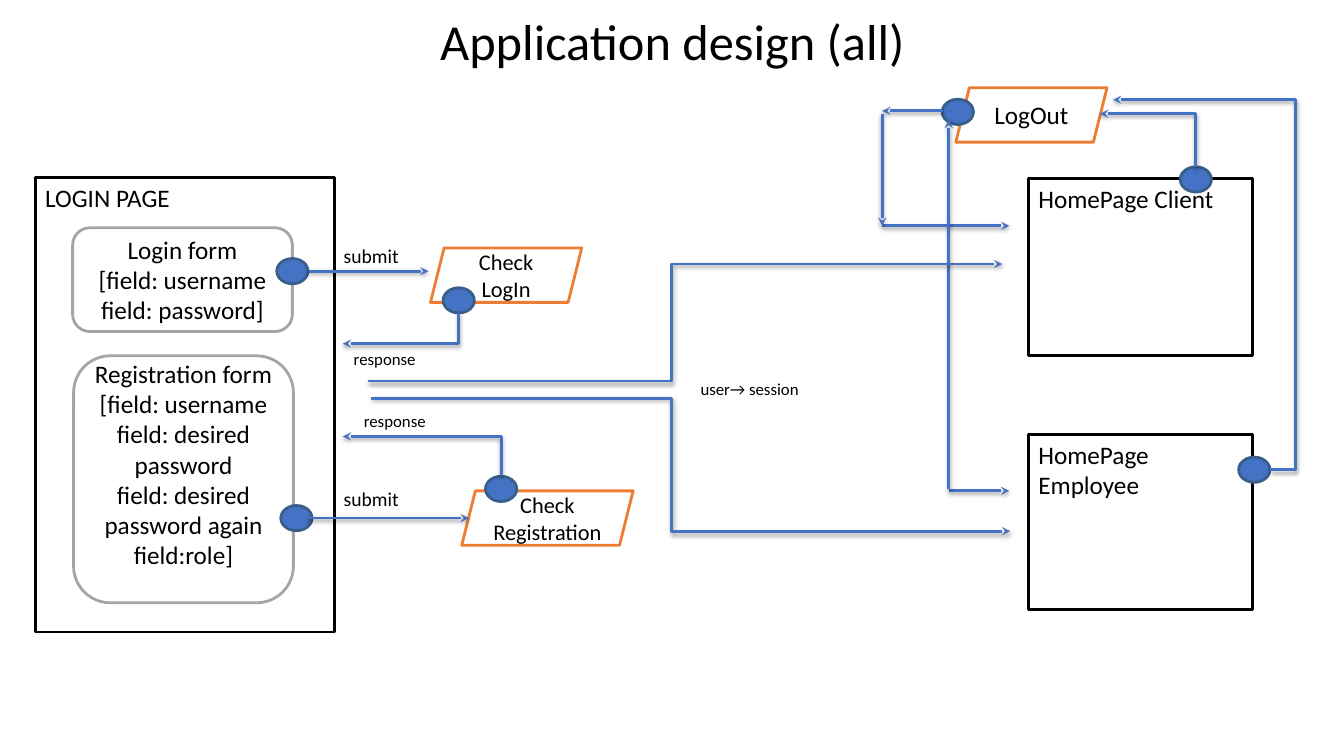
from lxml.etree import SubElement
from pptx import Presentation
from pptx.dml.color import RGBColor
from pptx.enum.shapes import MSO_CONNECTOR as CONNECTOR, MSO_SHAPE as SHAPE
from pptx.enum.text import MSO_ANCHOR as ANCHOR, MSO_AUTO_SIZE as AUTO_SIZE, PP_ALIGN as ALIGN
from pptx.oxml.ns import qn
from pptx.util import Inches, Pt

COLORS = {
    "text": "000000",
    "paper": "FFFFFF",
    "page": "000000",
    "form": "A5A5A5",
    "action": "ED7D31",
    "flow": "4472C4",
    "dot_edge": "395E89",
}
FONT = "Calibri"
LINE_WIDTH = 2
DOT_WIDTH, DOT_HEIGHT = 0.31, 0.25

TITLE = "Application design (all)"

# Each box: (left, top, width, height), paragraphs; \v is a line break.
PAGES = [
    ((0.35, 1.76, 2.97, 4.51), ["LOGIN PAGE"]),
    ((10.2, 1.77, 2.22, 1.76), ["HomePage Client"]),
    ((10.2, 4.31, 2.22, 1.74), ["HomePage Employee"]),
]
# The last value is the bottom inset.
FORMS = [
    ((0.72, 2.26, 2.18, 1.03), ["Login form\v[field: username", "field: password]"], 0.05),
    ((0.73, 3.53, 2.18, 2.45),
     ["Registration form\v[field: username", "field: desired password",
      "field: desired password again", "field:role]"], 0.35),
]
# The last value is the text size.
ACTIONS = [
    ((4.27, 2.46, 1.5, 0.54), ["Check\vLogIn"], 16),
    ((4.58, 4.87, 1.7, 0.54), ["Check\vRegistration"], 16),
    ((9.48, 0.87, 1.5, 0.54), ["LogOut"], 18),
]
LABELS = [
    ((3.31, 2.37, 0.79, 0.26), "submit", 14),
    ((3.31, 4.78, 0.91, 0.3), "submit", 14),
    ((3.41, 3.41, 1.5, 0.3), "response", 12),
    ((3.51, 4.03, 1.5, 0.3), "response", 12),
    ((6.85, 3.71, 1.23, 0.3), "user→ session", 12),
]
DOT_CENTERS = [(2.9, 2.69), (2.94, 5.14), (4.97, 4.85), (4.55, 2.98),
               (11.86, 1.78), (12.44, 4.66), (9.5, 1.11)]

STRAIGHT_FLOWS = [
    ((3.06, 2.69), (4.25, 2.69)),
    ((3.06, 5.14), (4.65, 5.14)),
    ((8.75, 2.24), (10.01, 2.24)),
    ((9.41, 4.87), (10.01, 4.87)),
    ((9.35, 1.1), (8.75, 1.1)),
    ((8.75, 1.13), (8.75, 2.24)),
    ((9.41, 4.85), (9.41, 1.19)),
]
# Vertical first, then to the left.
CORNER_FLOWS = [
    ((4.55, 3.11), (3.4, 3.41)),
    ((4.97, 4.72), (3.4, 4.33)),
    ((11.86, 1.66), (10.91, 1.13)),
]
# The last value is the x of the vertical part.
STEP_FLOWS = [
    ((3.68, 3.95), (10.02, 5.27), 6.66),
    ((3.65, 3.78), (9.94, 2.62), 6.66),
]
LOGOUT_FLOW = ((12.6, 4.66), (11.04, 0.99), 12.85)


def write(frame, paragraphs, size=18, align=ALIGN.LEFT, anchor=ANCHOR.TOP,
          bottom=0.05, spacing=None):
    frame.word_wrap = True
    frame.vertical_anchor = anchor
    frame.margin_left = frame.margin_right = Inches(0.1)
    frame.margin_top, frame.margin_bottom = Inches(0.05), Inches(bottom)
    for index, words in enumerate(paragraphs):
        paragraph = frame.add_paragraph() if index else frame.paragraphs[0]
        paragraph.text = words
        paragraph.alignment = align
        if spacing:
            paragraph.line_spacing = spacing
        for run in paragraph.runs:
            run.font.size, run.font.name = Pt(size), FONT
            run.font.color.rgb = RGBColor.from_string(COLORS["text"])
        for line_break in paragraph._p.findall(qn("a:br")):
            SubElement(line_break, qn("a:rPr"), sz=str(size * 100))


def add_box(slide, kind, place, edge, fill="paper"):
    box = slide.shapes.add_shape(kind, *map(Inches, place))
    box.shadow.inherit = False
    box.fill.solid()
    box.fill.fore_color.rgb = RGBColor.from_string(COLORS[fill])
    box.line.color.rgb = RGBColor.from_string(COLORS[edge])
    box.line.width = Pt(LINE_WIDTH)
    return box


def add_flow(slide, start, end, kind=CONNECTOR.STRAIGHT):
    """Add a flow arrow with its soft shadow."""
    flow = slide.shapes.add_connector(kind, *map(Inches, (*start, *end)))
    flow.line.color.rgb = RGBColor.from_string(COLORS["flow"])
    flow.line.width = Pt(LINE_WIDTH)
    properties = flow._element.spPr
    SubElement(properties.find(qn("a:ln")), qn("a:tailEnd"), type="stealth")
    effects = SubElement(properties, qn("a:effectLst"))
    shadow = SubElement(effects, qn("a:outerShdw"), blurRad=str(Pt(3.1)), dist=str(Pt(1.6)),
                        dir="5400000", rotWithShape="0")
    shade = SubElement(shadow, qn("a:srgbClr"), val=COLORS["text"])
    SubElement(shade, qn("a:alpha"), val="38000")
    return flow


def set_bends(flow, preset, **adjustments):
    """Set the elbow preset and its bends, as shares of width or height."""
    geometry = flow._element.spPr.find(qn("a:prstGeom"))
    geometry.set("prst", preset)
    guides = geometry.find(qn("a:avLst"))
    for name, share in adjustments.items():
        SubElement(guides, qn("a:gd"), name=name, fmla=f"val {round(share * 100000)}")


def add_corner_flow(slide, start, end):
    """Turn a horizontal-first elbow so that it leaves vertically and ends to the left."""
    (x1, y1), (x2, y2) = start, end
    mid_x, mid_y = (x1 + x2) / 2, (y1 + y2) / 2
    half_width, half_height = abs(y2 - y1) / 2, abs(x2 - x1) / 2
    down = y2 > y1
    rise = half_height if down else -half_height
    flow = add_flow(slide, (mid_x - half_width, mid_y - rise),
                    (mid_x + half_width, mid_y + rise), CONNECTOR.ELBOW)
    set_bends(flow, "bentConnector2")
    flow._element.spPr.find(qn("a:xfrm")).set("rot", str((90 if down else 270) * 60000))


def add_step_flow(slide, start, end, bend_x, preset="bentConnector3", **more):
    flow = add_flow(slide, start, end, CONNECTOR.ELBOW)
    set_bends(flow, preset, adj1=(bend_x - start[0]) / (end[0] - start[0]), **more)


def main():
    deck = Presentation()
    deck.slide_width, deck.slide_height = Inches(13.33), Inches(7.5)
    slide = deck.slides.add_slide(deck.slide_layouts[5])

    title = slide.shapes.title
    title.left, title.top, title.width, title.height = map(Inches, (0.92, 0, 11.5, 0.88))
    write(title.text_frame, [TITLE], size=36, align=ALIGN.CENTER,
          anchor=ANCHOR.MIDDLE, spacing=0.9)

    for place, words in PAGES:
        write(add_box(slide, SHAPE.RECTANGLE, place, "page").text_frame, words)
    for place, words, bottom in FORMS:
        form = add_box(slide, SHAPE.ROUNDED_RECTANGLE, place, "form")
        write(form.text_frame, words, align=ALIGN.CENTER, anchor=ANCHOR.MIDDLE, bottom=bottom)
    for place, words, size in ACTIONS:
        action = add_box(slide, SHAPE.PARALLELOGRAM, place, "action")
        write(action.text_frame, words, size=size, align=ALIGN.CENTER, anchor=ANCHOR.MIDDLE)
    for x, y in DOT_CENTERS:
        place = (x - DOT_WIDTH / 2, y - DOT_HEIGHT / 2, DOT_WIDTH, DOT_HEIGHT)
        add_box(slide, SHAPE.OVAL, place, "dot_edge", fill="flow")

    for start, end in STRAIGHT_FLOWS:
        add_flow(slide, start, end)
    for start, end in CORNER_FLOWS:
        add_corner_flow(slide, start, end)
    for start, end, bend_x in STEP_FLOWS:
        add_step_flow(slide, start, end, bend_x)
    add_step_flow(slide, *LOGOUT_FLOW, preset="bentConnector4", adj2=1)

    for place, words, size in LABELS:
        label = slide.shapes.add_textbox(*map(Inches, place))
        write(label.text_frame, [words], size=size)
        label.text_frame.auto_size = AUTO_SIZE.NONE

    deck.save("out.pptx")


if __name__ == "__main__":
    main()
